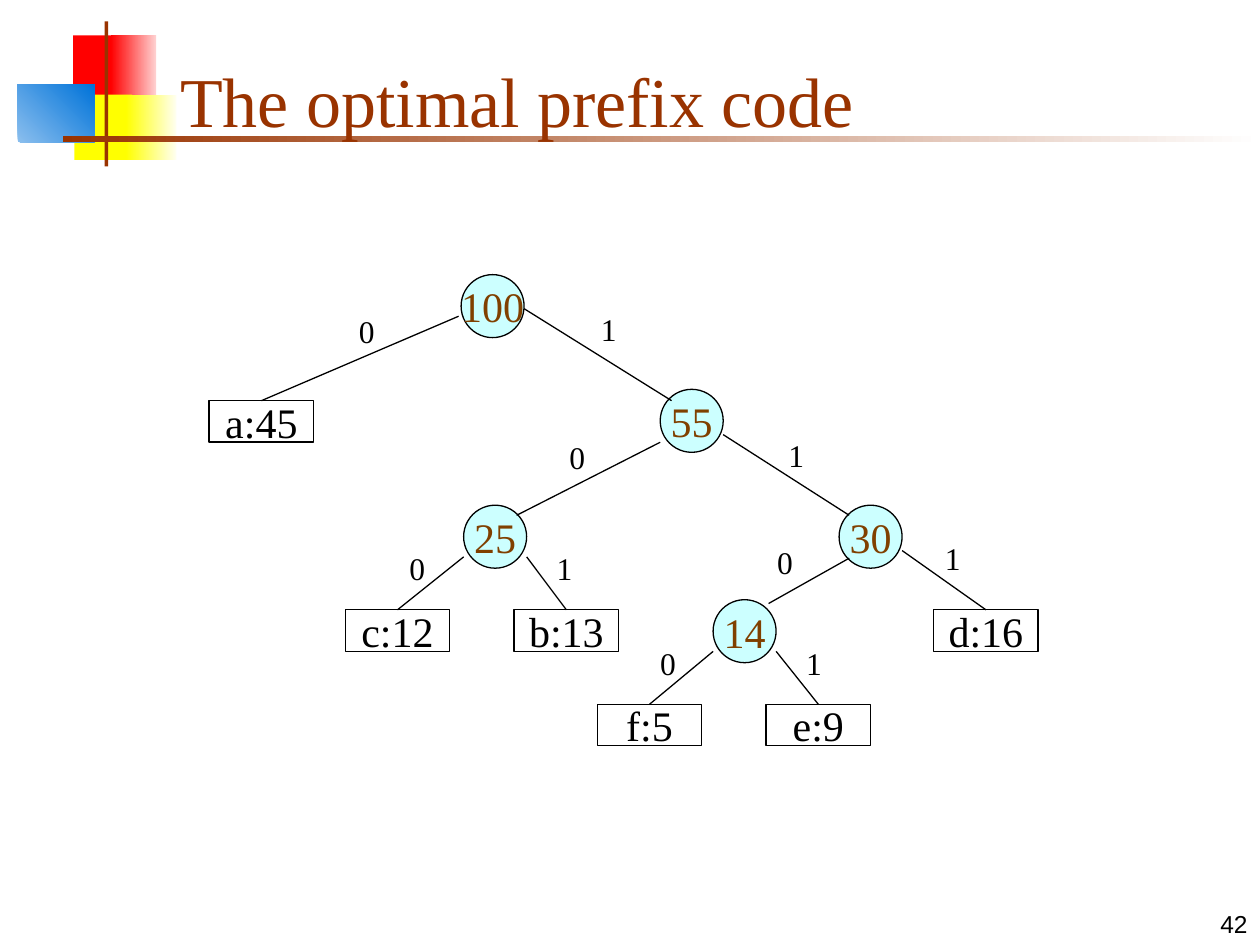
from pptx import Presentation
from pptx.dml.color import RGBColor as RGB
from pptx.enum.shapes import MSO_CONNECTOR as LINE, MSO_SHAPE as SHAPE
from pptx.enum.text import MSO_ANCHOR as ANCHOR, MSO_AUTO_SIZE as FIT, PP_ALIGN as ALIGN
from pptx.oxml.ns import qn
from pptx.util import Inches, Pt
from lxml.etree import SubElement

# Content
TITLE = "The optimal prefix code"
PAGE = "42"

# Inner nodes: name -> left, top
NODES = {"100": (3.66, 2.18), "55": (5.24, 3.09), "25": (3.68, 4.01),
         "30": (6.66, 4.01), "14": (5.66, 4.76)}

# Leaves: name -> left, top
LEAVES = {"a:45": (1.66, 3.18), "c:12": (2.74, 4.84), "b:13": (4.08, 4.84),
          "d:16": (7.41, 4.84), "f:5": (4.74, 5.59), "e:9": (6.08, 5.59)}

# Branches: parent, child, bit, bit's left and top, offset in parent, offset in child node
EDGES = [
    ("100", "a:45", "0", (2.75, 2.43), (-0.02, 0.33), None),
    ("100", "55", "1", (4.67, 2.41), (0.5, 0.27), (0.09, 0.09)),
    ("55", "25", "0", (4.42, 3.43), (0, 0.42), (0.42, 0.08)),
    ("55", "30", "1", (6.16, 3.41), (0.5, 0.36), (0.08, 0.08)),
    ("25", "c:12", "0", (3.15, 4.31), (0, 0.41), None),
    ("25", "b:13", "1", (4.32, 4.31), (0.5, 0.41), None),
    ("30", "14", "0", (6.07, 4.26), (0.08, 0.42), (0.44, 0.03)),
    ("30", "d:16", "1", (7.4, 4.23), (0.5, 0.36), None),
    ("14", "f:5", "0", (5.14, 5.06), (0, 0.41), None),
    ("14", "e:9", "1", (6.3, 5.06), (0.5, 0.41), None),
]

# Ornament: box, colours (two make a gradient), angle
DECOR = [
    ((0.58, 0.28, 0.35, 0.52), ["FF0000"], 0),
    ((0.88, 0.28, 0.36, 0.52), ["FF0000", "FFD1D1"], 0),
    ((0.59, 0.75, 0.46, 0.52), ["FFFF00"], 0),
    ((1, 0.75, 0.4, 0.52), ["FFFF00", "FFFFF0"], 0),
    ((0.14, 0.67, 0.61, 0.46), ["8BBFEE", "0073D9"], 45),
    ((0.83, 0.17, 0.03, 1.15), ["993300"], 0),
    ((0.5, 1.08, 9.5, 0.05), ["993300", "FFFFFF"], 0),
]

THEME = {"serif": "Times New Roman", "sans": "Arial", "title": "993300",
         "ink": "000000", "node": "CCFFFF", "sum": "804000", "line": 0.75,
         "head": 40, "tree": 24, "bit": 18, "page": 14}
NODE = (0.5, 0.5)
LEAF = (0.83, 0.33)
BIT = (0.34, 0.4)

deck = Presentation()
deck.slide_width, deck.slide_height = Inches(10), Inches(7.5)
slide = deck.slides.add_slide(deck.slide_layouts[5])
shapes = slide.shapes


def inches(*nums):
    return [Inches(n) for n in nums]


def write(shape, text, size, color, font="serif", align=ALIGN.LEFT,
          anchor=ANCHOR.TOP, wrap=False):
    frame = shape.text_frame
    frame.text = text
    frame.word_wrap = wrap
    frame.vertical_anchor = anchor
    para = frame.paragraphs[0]
    para.alignment = align
    face = para.runs[0].font
    face.name, face.size = THEME[font], Pt(THEME[size])
    face.color.rgb = RGB.from_string(THEME[color])


def ink(line):
    line.color.rgb = RGB.from_string(THEME["ink"])
    line.width = Pt(THEME["line"])


def add_box(kind, text, spot, size, color):
    box = shapes.add_shape(kind, *inches(*spot, *size))
    box.shadow.inherit = False
    ink(box.line)
    write(box, text, "tree", color, align=ALIGN.CENTER, anchor=ANCHOR.MIDDLE)
    return box


def shift(spot, step):
    return spot[0] + step[0], spot[1] + step[1]


# Ornament behind the title
for place, colors, angle in DECOR:
    bar = shapes.add_shape(SHAPE.RECTANGLE, *inches(*place))
    bar.shadow.inherit = False
    bar.line.fill.background()
    if len(colors) == 1:
        bar.fill.solid()
        bar.fill.fore_color.rgb = RGB.from_string(colors[0])
    else:
        bar.fill.gradient()
        bar.fill.gradient_angle = angle
        for stop, color in zip(bar.fill.gradient_stops, colors):
            stop.color.rgb = RGB.from_string(color)

# Title, brought in front of the ornament
title = shapes.title
title.left, title.top, title.width, title.height = inches(1.33, 0.25, 8.52, 0.92)
write(title, TITLE, "head", "title", anchor=ANCHOR.BOTTOM, wrap=True)
title.text_frame.auto_size = FIT.NONE
title.element.getparent().append(title.element)

# Page number
page = shapes.add_textbox(*inches(7.92, 7, 2.08, 0.5))
write(page, PAGE, "page", "ink", "sans", ALIGN.RIGHT, ANCHOR.BOTTOM, True)

# Tree nodes
for name, spot in NODES.items():
    node = add_box(SHAPE.OVAL, name, spot, NODE, "sum")
    node.fill.solid()
    node.fill.fore_color.rgb = RGB.from_string(THEME["node"])

leaves = {}
for name, spot in LEAVES.items():
    leaves[name] = add_box(SHAPE.RECTANGLE, name, spot, LEAF, "ink")
    leaves[name].fill.background()

# Branches and their bits
for parent, child, bit, spot, out, into in EDGES:
    end = shift(NODES[parent], out)
    start = shift(NODES[child], into) if into else shift(LEAVES[child], (LEAF[0] / 2, 0))
    branch = shapes.add_connector(LINE.STRAIGHT, *inches(*start, *end))
    if child in leaves:
        branch.begin_connect(leaves[child], 0)
    ink(branch.line)
    SubElement(branch.element.spPr, qn("a:effectLst"))
    label = shapes.add_textbox(*inches(*spot, *BIT))
    write(label, bit, "bit", "ink")
    label.text_frame.auto_size = FIT.SHAPE_TO_FIT_TEXT

deck.save("out.pptx")
